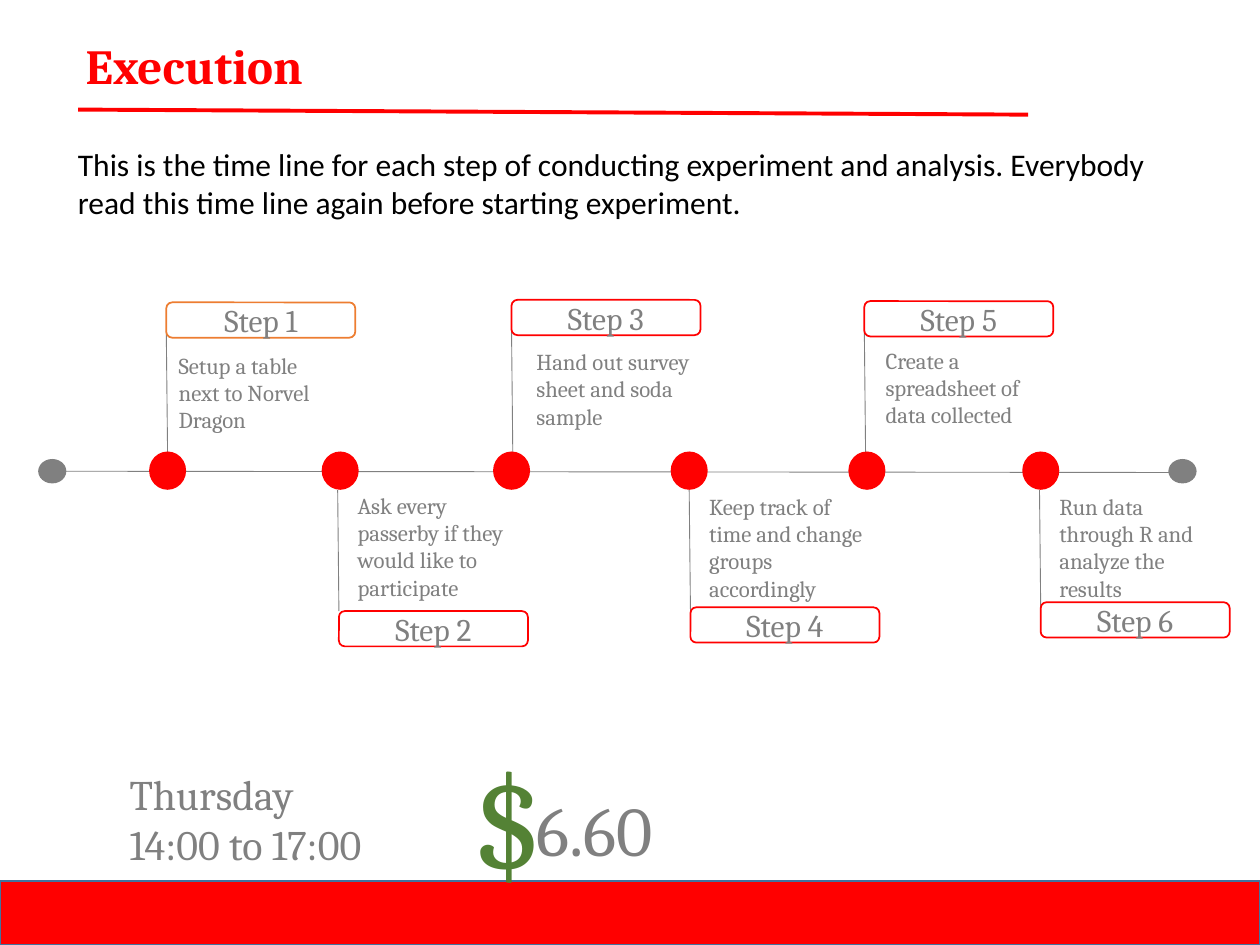
from pptx import Presentation
from pptx.dml.color import RGBColor
from pptx.enum.shapes import MSO_CONNECTOR, MSO_SHAPE
from pptx.enum.text import MSO_ANCHOR, MSO_AUTO_SIZE, PP_ALIGN
from pptx.oxml.ns import qn
from pptx.util import Inches, Pt
from lxml import etree

STRAIGHT = MSO_CONNECTOR.STRAIGHT
RECT, ROUND, OVAL = MSO_SHAPE.RECTANGLE, MSO_SHAPE.ROUNDED_RECTANGLE, MSO_SHAPE.OVAL
LEFT, CENTER = PP_ALIGN.LEFT, PP_ALIGN.CENTER
TOP, MIDDLE = MSO_ANCHOR.TOP, MSO_ANCHOR.MIDDLE
GROW = MSO_AUTO_SIZE.SHAPE_TO_FIT_TEXT

THEME = {
    "red": RGBColor.from_string("FF0000"),
    "gray": RGBColor.from_string("808080"),
    "orange": RGBColor.from_string("ED7D31"),
    "green": RGBColor.from_string("548235"),
    "blue": RGBColor.from_string("43739E"),
    "black": RGBColor.from_string("000000"),
    "white": RGBColor.from_string("FFFFFF"),
    "serif": "Cambria", "sans": "Calibri",
    "title": 28, "body": 18, "tag": 18, "note": 13,
    "schedule": 24, "dollar": 80, "amount": 40,
    "rule": 2.25, "outline": 1, "hairline": 0.5,
}

prs = Presentation()
prs.slide_width, prs.slide_height = Inches(10), Inches(7.5)
COL, ROW = prs.slide_width / 100, prs.slide_height / 75
slide = prs.slides.add_slide(prs.slide_layouts[5])


def place(col, row, cols, rows):
    return int(col * COL), int(row * ROW), int(cols * COL), int(rows * ROW)


def write(frame, text, size, color, font=THEME["serif"], align=LEFT, anchor=TOP, bold=False):
    frame.text = text
    frame.word_wrap = True
    frame.vertical_anchor = anchor
    for paragraph in frame.paragraphs:
        paragraph.alignment = align
        for run in paragraph.runs:
            run.font.name = font
            run.font.size = Pt(THEME[size])
            run.font.bold = bold
            run.font.color.rgb = THEME[color]


title = slide.shapes.title
title.left, title.top, title.width, title.height = place(5.8, 2.3, 76.4, 5.7)
write(title.text_frame, "Execution", "title", "red", bold=True)
title.text_frame.auto_size = GROW

steps = [
    ("Step 1", "Setup a table next to Norvel Dragon", 13.2, 24, 13.2, 27.4, 14.1, 7.6),
    ("Step 2", "Ask every passerby if they would like to participate", 26.9, 48.5, 27.4, 38.5, 15, 9.8),
    ("Step 3", "Hand out survey sheet and soda sample", 40.6, 23.8, 41.6, 27.1, 14.7, 9.8),
    ("Step 4", "Keep track of time and change groups accordingly", 54.8, 48.2, 55.3, 38.6, 14.9, 9.8),
    ("Step 5", "Create a spreadsheet of data collected", 68.6, 23.9, 69.3, 27, 14.9, 7.6),
    ("Step 6", "Run data through R and analyze the results", 82.6, 47.8, 83.1, 38.6, 14, 9.8),
]
dot_cols = [11.9, 25.6, 39.2, 53.3, 67.4, 81.2]

lines = [
    (6.2, 8.7, 81.6, 9.1, "red", "rule"),
    (3.6, 37.4, 93.9, 37.5, "gray", "hairline"),
]
for number, (_, _, tag_col, *_) in enumerate(steps):
    if number % 2:
        lines.append((tag_col, 48.5, tag_col - 0.1, 38.9, "gray", "hairline"))
    else:
        lines.append((tag_col + 0.1, 35.9, tag_col, 26.3, "gray", "hairline"))
for col_a, row_a, col_b, row_b, color, weight in lines:
    line = slide.shapes.add_connector(STRAIGHT, *place(col_a, row_a, col_b, row_b))
    line.line.color.rgb = THEME[color]
    line.line.width = Pt(THEME[weight])
    etree.SubElement(line._element.spPr, qn("a:effectLst"))

blocks = [(RECT, 0, 69.9, 100, 5.1, "red", "blue", "")]
blocks += [(OVAL, col, 36.5, 2.1, 1.8, "gray", "gray", "") for col in (3.1, 92.8)]
blocks += [(OVAL, col, 35.9, 2.8, 2.9, "red", "red", "") for col in dot_cols]
for number, (label, _, tag_col, tag_row, *_) in enumerate(steps):
    outline = "red" if number else "orange"
    blocks.append((ROUND, tag_col, tag_row, 15, 2.8, "white", outline, label))
for kind, col, row, cols, rows, fill, outline, label in blocks:
    block = slide.shapes.add_shape(kind, *place(col, row, cols, rows))
    block.shadow.inherit = False
    block.fill.solid()
    block.fill.fore_color.rgb = THEME[fill]
    block.line.color.rgb = THEME[outline]
    block.line.width = Pt(THEME["outline"])
    if label:
        write(block.text_frame, label, "tag", "gray", align=CENTER, anchor=MIDDLE)

texts = [(note, col, row, cols, rows, "note", "gray", "serif")
         for _, note, _, _, col, row, cols, rows in steps]
texts += [
    ("Thursday\n14:00 to 17:00", 9.3, 60.5, 27.2, 9.1, "schedule", "gray", "serif"),
    ("$", 36.5, 57.8, 8, 14.5, "dollar", "green", "serif"),
    ("6.60", 41.6, 61.9, 24.1, 7.7, "amount", "gray", "serif"),
    ("This is the time line for each step of conducting experiment and analysis. "
     "Everybody read this time line again before starting experiment.",
     5.2, 11, 87.6, 7.1, "body", "black", "sans"),
]
for text, col, row, cols, rows, size, color, font in texts:
    frame = slide.shapes.add_textbox(*place(col, row, cols, rows)).text_frame
    write(frame, text, size, color, THEME[font])
    frame.auto_size = GROW

prs.save("out.pptx")
